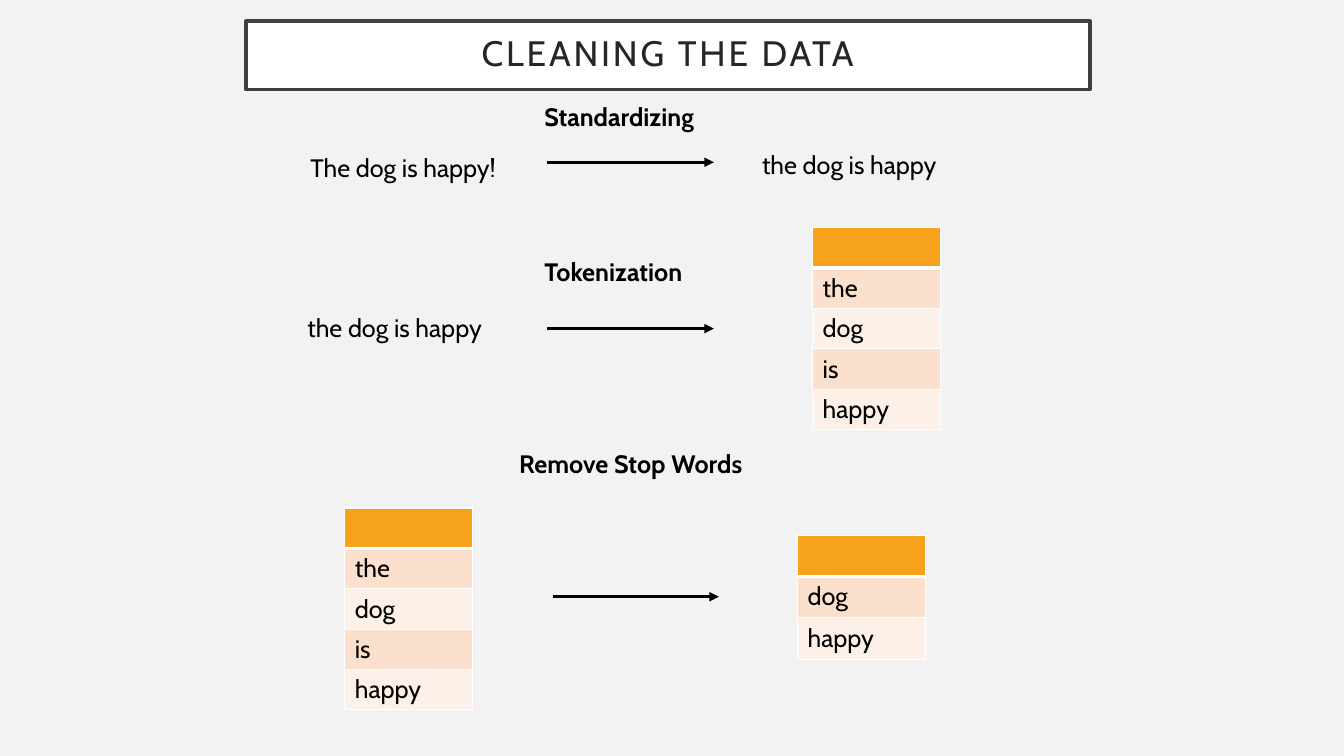
from dataclasses import dataclass

from lxml.etree import SubElement
from pptx import Presentation
from pptx.dml.color import RGBColor as Rgb
from pptx.enum.shapes import MSO_CONNECTOR as Link, MSO_SHAPE as Form
from pptx.enum.text import MSO_ANCHOR as Anchor, MSO_AUTO_SIZE as Fit, PP_ALIGN as Align
from pptx.oxml.ns import qn
from pptx.shapes.autoshape import Shape
from pptx.slide import Slide
from pptx.text.text import TextFrame as Frame
from pptx.util import Inches, Pt

HUES = {
    "back": "F2F2F2",
    "white": "FFFFFF",
    "frame": "404040",
    "title": "262626",
    "ink": "000000",
    "head": "F6A21D",
    "odd": "FBE0CD",
    "even": "FDF0E8",
}
FONT = "Cabin"
SPAN = 1.65
WIDE = 1.27


@dataclass(frozen=True)
class Label:
    text: str
    left: float
    top: float
    width: float
    bold: bool = False


@dataclass(frozen=True)
class Arrow:
    left: float
    top: float


@dataclass(frozen=True)
class Grid:
    left: float
    top: float
    words: tuple[str, ...]
    step: float = 0.4


WORDS = ("the", "dog", "is", "happy")
LABELS = [
    Label("Standardizing", 5.3, 0.96, 2.28, True),
    Label("The dog is happy!", 2.98, 1.46, 2.64),
    Label("the dog is happy", 7.46, 1.43, 2),
    Label("Tokenization", 5.3, 2.49, 2.28, True),
    Label("the dog is happy", 2.95, 3.05, 2),
    Label("Remove Stop Words", 5.05, 4.4, 2.61, True),
]
ARROWS = [Arrow(5.43, 1.61), Arrow(5.43, 3.26), Arrow(5.48, 5.92)]
GRIDS = [
    Grid(8.06, 2.26, WORDS),
    Grid(3.42, 5.04, WORDS),
    Grid(7.91, 5.31, ("dog", "happy"), 0.41),
]


def tint(name: str) -> Rgb:
    return Rgb.from_string(HUES[name])


def write(frame: Frame, text: str, *, size: float = 18, hue: str = "ink",
          bold: bool = False, track: int = 0, align: Align = Align.LEFT,
          lead: float = 1.0) -> None:
    para = frame.paragraphs[0]
    para.alignment = align
    para.line_spacing = lead
    run = para.add_run()
    run.text = text
    run.font.name = FONT
    run.font.size = Pt(size)
    run.font.bold = bold
    run.font.color.rgb = tint(hue)
    if track:
        run.font._element.set("spc", str(track * 100))


def add_title(slide: Slide, text: str) -> Shape:
    box = slide.shapes.add_shape(
        Form.RECTANGLE, Inches(2.44), Inches(0.21), Inches(8.37), Inches(0.68))
    box.shadow.inherit = False
    box.fill.solid()
    box.fill.fore_color.rgb = tint("white")
    box.line.color.rgb = tint("frame")
    box.line.width = Pt(2.5)
    frame = box.text_frame
    frame.word_wrap = True
    frame.vertical_anchor = Anchor.MIDDLE
    frame.margin_left = frame.margin_right = Inches(0.2)
    frame.margin_top = frame.margin_bottom = Inches(0.2)
    write(frame, text, size=25.2, hue="title", track=2, align=Align.CENTER, lead=0.9)
    return box


def add_label(slide: Slide, label: Label) -> None:
    box = slide.shapes.add_textbox(
        Inches(label.left), Inches(label.top), Inches(label.width), Inches(0.4))
    frame = box.text_frame
    frame.word_wrap = True
    frame.auto_size = Fit.SHAPE_TO_FIT_TEXT
    write(frame, label.text, bold=label.bold)


def add_arrow(slide: Slide, arrow: Arrow) -> None:
    top = Inches(arrow.top)
    line = slide.shapes.add_connector(
        Link.STRAIGHT, Inches(arrow.left), top, Inches(arrow.left + SPAN), top)
    line.line.color.rgb = tint("ink")
    line.line.width = Pt(2.25)
    SubElement(line.line._get_or_add_ln(), qn("a:tailEnd"), type="triangle")
    SubElement(line._element.spPr, qn("a:effectLst"))


def add_grid(slide: Slide, grid: Grid) -> None:
    rows = ("", *grid.words)
    table = slide.shapes.add_table(
        len(rows), 1, Inches(grid.left), Inches(grid.top),
        Inches(WIDE), Inches(grid.step * len(rows))).table
    table.horz_banding = False
    for row, word in enumerate(rows):
        table.rows[row].height = Inches(grid.step)
        cell = table.cell(row, 0)
        props = cell._tc.get_or_add_tcPr()
        for side in "LRTB":
            thick = 3 if (row, side) in ((0, "B"), (1, "T")) else 1
            edge = SubElement(props, qn(f"a:ln{side}"), w=str(Pt(thick)))
            fill = SubElement(edge, qn("a:solidFill"))
            SubElement(fill, qn("a:srgbClr"), val=HUES["white"])
        cell.fill.solid()
        cell.fill.fore_color.rgb = tint("head" if row == 0 else "odd" if row % 2 else "even")
        if word:
            write(cell.text_frame, word)


def main() -> None:
    deck = Presentation()
    deck.slide_width, deck.slide_height = Inches(13.33), Inches(7.5)
    slide = deck.slides.add_slide(deck.slide_layouts[6])
    slide.background.fill.solid()
    slide.background.fill.fore_color.rgb = tint("back")
    add_title(slide, "CLEANING THE DATA")
    for label in LABELS:
        add_label(slide, label)
    for arrow in ARROWS:
        add_arrow(slide, arrow)
    for grid in GRIDS:
        add_grid(slide, grid)
    deck.save("out.pptx")


if __name__ == "__main__":
    main()
